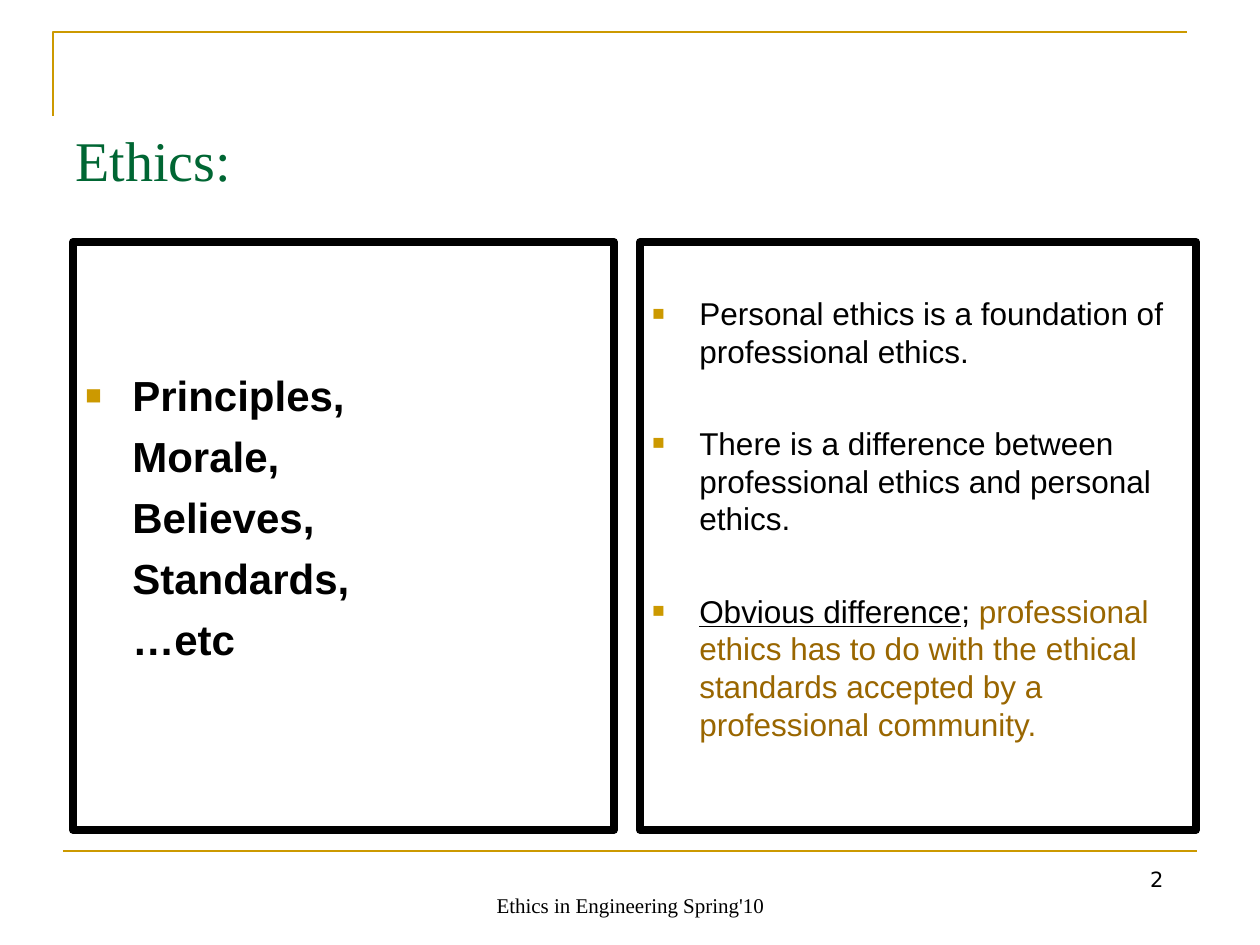
"""Build the slide on personal and professional ethics."""
from lxml import etree
from pptx import Presentation, util as u
from pptx.dml.color import RGBColor
from pptx.enum import shapes, text
from pptx.oxml.ns import qn

PX = 914400 // 126
GOLD = RGBColor(0xCC, 0x99, 0x00)
BROWN = RGBColor(0x99, 0x66, 0x00)
GREEN = RGBColor(0x00, 0x66, 0x33)
BLACK = RGBColor(0, 0, 0)
LEFT, CENTER, RIGHT = text.PP_ALIGN.LEFT, text.PP_ALIGN.CENTER, text.PP_ALIGN.RIGHT
TOP, BOTTOM = text.MSO_ANCHOR.TOP, text.MSO_ANCHOR.BOTTOM

TITLE = "Ethics:"
FOOTER = "Ethics in Engineering Spring'10"
NUMBER = "2"
TERMS = ["Principles,", "Morale,", "Believes,", "Standards,", "…etc"]
POINTS = [
    "Personal ethics is a foundation of professional ethics.",
    "There is a difference between professional ethics and personal ethics.",
    [("Obvious difference", {"underline": True}), ("; ", {}),
     ("professional ethics has to do with the ethical standards accepted "
      "by a professional community.", {"color": BROWN})],
]
PANELS = [
    dict(box=(73, 242, 541, 588), lines=TERMS, size=24, bold=True,
         inset=128, gap=6, marks=1),
    dict(box=(640, 242, 556, 588), lines=POINTS, size=18, bold=False,
         inset=52, gap=31, marks=3),
]
CORNER = [(53, 116), (53, 32), (1187, 32)]
RULE = (63, 851, 1197, 851)


def px(*nums):
    return [n * PX for n in nums]


def place(shape, box):
    shape.left, shape.top, shape.width, shape.height = px(*box)


def write(shape, lines, font="Arial", size=18, color=BLACK, bold=False,
          align=LEFT, anchor=TOP, inset=6, gap=0, lead=None):
    frame = shape.text_frame
    frame.word_wrap = True
    frame.auto_size = text.MSO_AUTO_SIZE.NONE
    frame.vertical_anchor = anchor
    frame.margin_top = inset * PX
    for i, line in enumerate(lines):
        para = frame.add_paragraph() if i else frame.paragraphs[0]
        para.alignment = align
        para.space_before = u.Pt(gap if i else 0)
        if lead:
            para.line_spacing = u.Pt(lead)
        for words, style in [(line, {})] if isinstance(line, str) else line:
            run = para.add_run()
            run.text = words
            run.font.name, run.font.size, run.font.bold = font, u.Pt(size), bold
            run.font.underline = style.get("underline", False)
            run.font.color.rgb = style.get("color", color)
    return frame


def bullet(para):
    props = para._p.get_or_add_pPr()
    tint = etree.SubElement(props, qn("a:buClr"))
    etree.SubElement(tint, qn("a:srgbClr"), val=str(GOLD))
    etree.SubElement(props, qn("a:buSzPct"), val="65000")
    etree.SubElement(props, qn("a:buFont"), typeface="Arial")
    etree.SubElement(props, qn("a:buChar"), char="■")


def stroke(shape, color, width):
    shape.line.color.rgb = color
    shape.line.width = u.Pt(width)


def panel(slide, box, lines, size, bold, inset, gap, marks):
    rect = slide.shapes.add_shape(shapes.MSO_SHAPE.RECTANGLE, *px(*box))
    rect.shadow.inherit = False
    rect.fill.background()
    stroke(rect, BLACK, 4.5)
    frame = write(rect, lines, size=size, bold=bold, inset=inset, gap=gap,
                  lead=size * 1.2)
    for i, para in enumerate(frame.paragraphs):
        props = para._p.get_or_add_pPr()
        props.set("marL", str(47 * PX))
        props.set("indent", str(-47 * PX if i < marks else 0))
        if i < marks:
            bullet(para)


def main():
    deck = Presentation()
    deck.slide_width, deck.slide_height = px(1260, 945)
    slide = deck.slides.add_slide(deck.slide_layouts[5])

    path = slide.shapes.build_freeform(*CORNER[0], scale=PX)
    path.add_line_segments(CORNER[1:], close=False)
    frame = path.convert_to_shape()
    frame.shadow.inherit = False
    frame.fill.background()
    stroke(frame, GOLD, 1.5)

    rule = slide.shapes.add_connector(shapes.MSO_CONNECTOR.STRAIGHT, *px(*RULE))
    stroke(rule, GOLD, 1.5)
    etree.SubElement(rule._element.spPr, qn("a:effectLst"))

    title = slide.shapes.title
    place(title, (63, 42, 1134, 157))
    write(title, [TITLE], font="Times New Roman", size=32, color=GREEN,
          anchor=BOTTOM)
    for spec in PANELS:
        panel(slide, **spec)

    page = slide.shapes.add_textbox(*px(903, 861, 273, 66))
    write(page, [NUMBER], font="DejaVu Sans", size=12, align=RIGHT)
    foot = slide.shapes.add_textbox(*px(431, 861, 399, 63))
    write(foot, [FOOTER], font="Times New Roman", size=12, align=CENTER,
          anchor=BOTTOM)
    deck.save("out.pptx")


if __name__ == "__main__":
    main()
